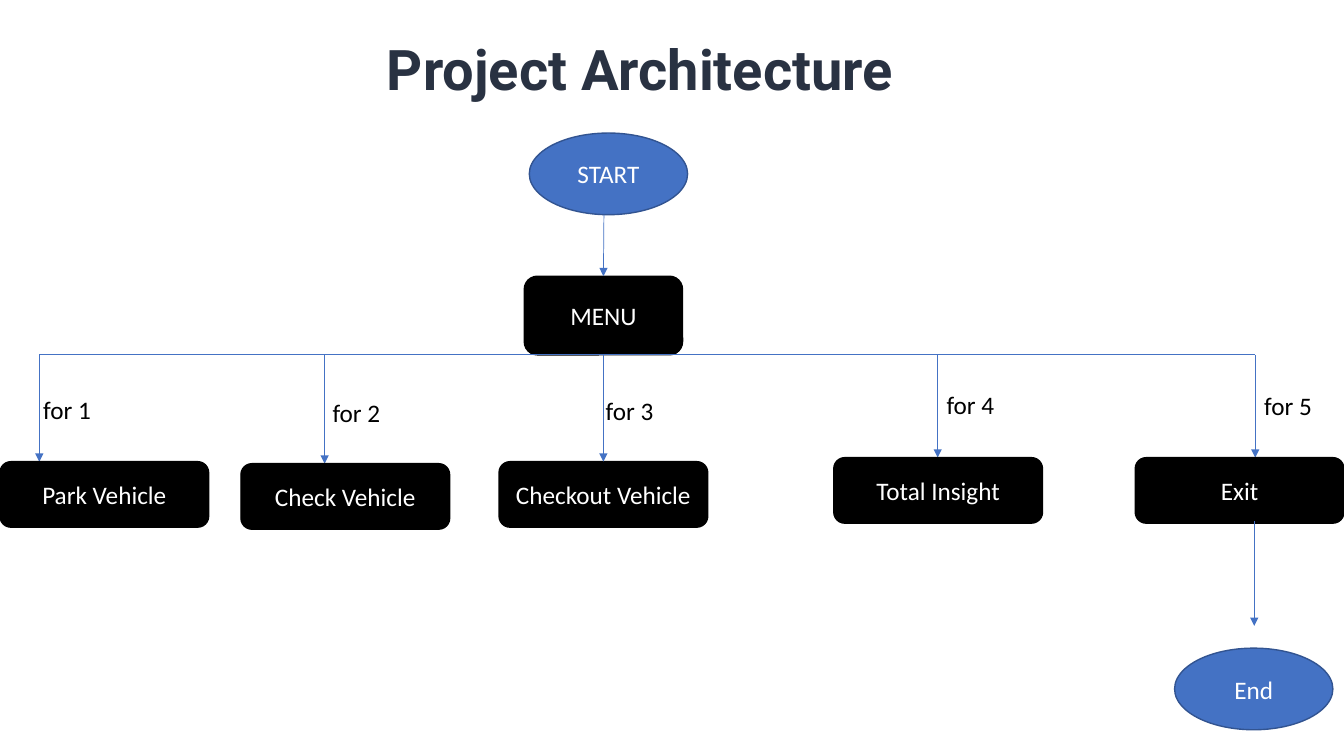
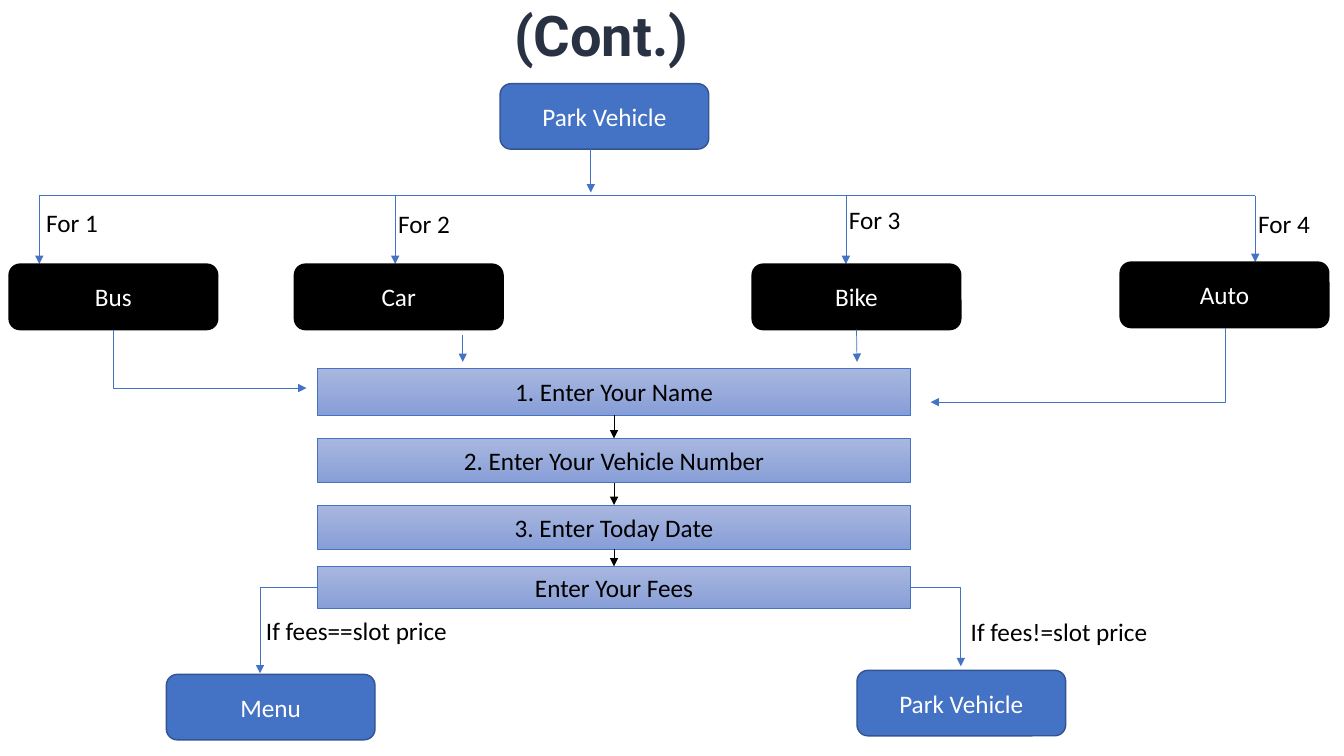
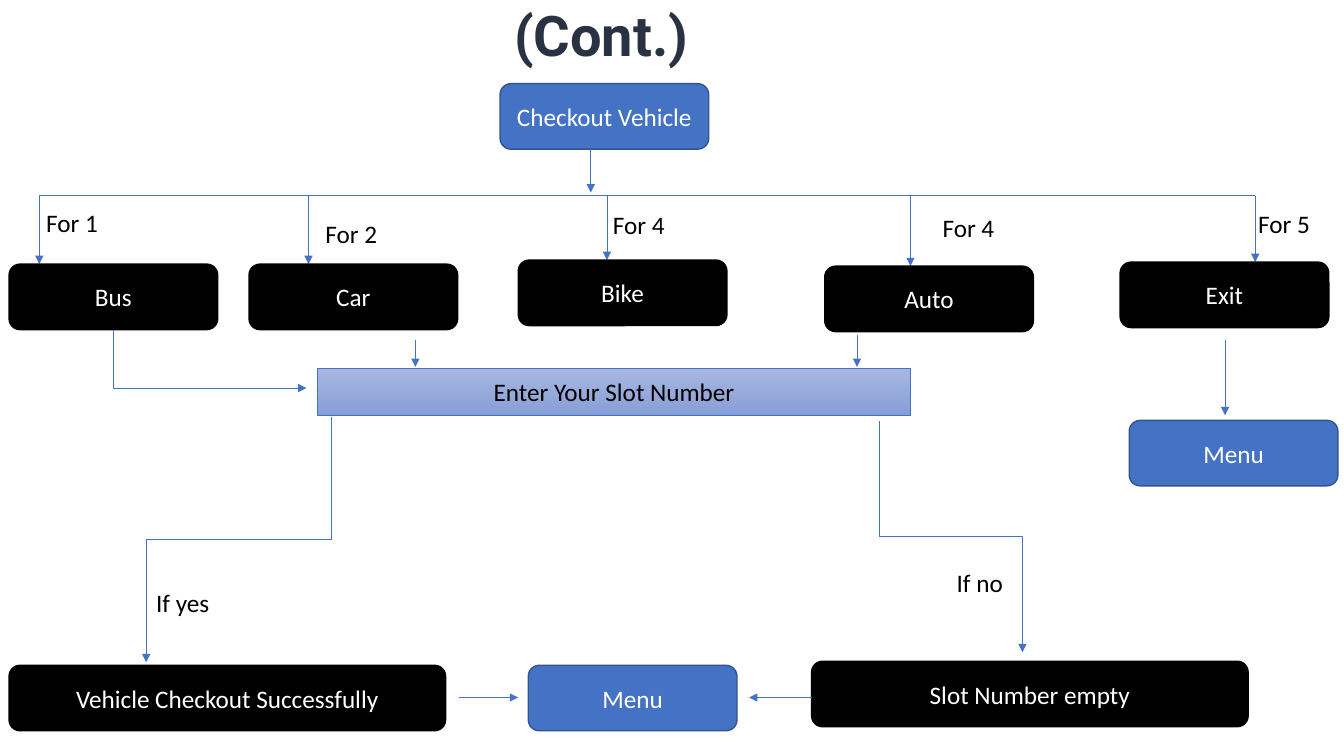
"""Build three flowchart slides for a vehicle parking project."""
from lxml import etree
from pptx import Presentation
from pptx.dml.color import RGBColor
from pptx.enum.shapes import MSO_CONNECTOR as CONN, MSO_SHAPE as SHAPE
from pptx.enum.text import MSO_ANCHOR as ANCHOR, PP_ALIGN as ALIGN
from pptx.oxml.ns import qn
from pptx.util import Inches, Pt

COLORS = {
    "title": "293242",
    "blue": "4472C4",
    "blue_edge": "325491",
    "black": "000000",
    "white": "FFFFFF",
    "step_top": "A8B7DF",
    "step_bottom": "889ED7",
}
BOX_W, BOX_H = 2.07, 0.65
WIDE_W = 4.33
OVAL_W, OVAL_H = 1.57, 0.81
STEP_X, STEP_W = 3.15, 5.88
BAR_LEFT, BAR_RIGHT = 0.39, 12.45
CONT_BAR_Y = 1.94


def rgb(name):
    return RGBColor.from_string(COLORS[name])


class Deck:
    def __init__(self):
        self.prs = Presentation()
        self.prs.slide_width = Inches(13.33)
        self.prs.slide_height = Inches(7.5)
        self.s = None

    def slide(self):
        self.s = self.prs.slides.add_slide(self.prs.slide_layouts[6])

    def put_text(self, tf, text, color, size=18, font="Calibri", bold=False):
        tf.word_wrap = True
        p = tf.paragraphs[0]
        p.text = text
        p.font.name = font
        p.font.size = Pt(size)
        p.font.bold = bold
        p.font.color.rgb = rgb(color)
        return p

    def textbox(self, x, y, w, h):
        sp = self.s.shapes.add_textbox(Inches(x), Inches(y), Inches(w), Inches(h))
        return sp.text_frame

    def title(self, text, x, y, w, h):
        tf = self.textbox(x, y, w, h)
        tf.margin_top = tf.margin_bottom = Inches(0.1)
        p = self.put_text(tf, text, "title", 40, "Roboto", True)
        p.line_spacing = 0.9

    def label(self, text, x, y, w=1):
        self.put_text(self.textbox(x, y, w, 0.4), text, "black")

    def shape(self, kind, text, x, y, w, h, color, edge, edge_w):
        sp = self.s.shapes.add_shape(kind, Inches(x), Inches(y), Inches(w), Inches(h))
        sp.shadow.inherit = False
        sp.line.color.rgb = rgb(edge)
        sp.line.width = Pt(edge_w)
        tf = sp.text_frame
        tf.vertical_anchor = ANCHOR.MIDDLE
        self.put_text(tf, text, color).alignment = ALIGN.CENTER
        return sp

    def node(self, text, x, y, w=BOX_W, h=BOX_H, fill="black", edge="black",
             kind=SHAPE.ROUNDED_RECTANGLE):
        sp = self.shape(kind, text, x, y, w, h, "white", edge, 1)
        sp.fill.solid()
        sp.fill.fore_color.rgb = rgb(fill)
        return sp

    def link_node(self, text, x, y):
        return self.node(text, x, y, fill="blue", edge="blue_edge")

    def oval(self, text, x, y):
        return self.node(text, x, y, OVAL_W, OVAL_H, "blue", "blue_edge", SHAPE.OVAL)

    def step(self, text, y, h=0.44):
        sp = self.shape(SHAPE.RECTANGLE, text, STEP_X, y, STEP_W, h, "black", "blue", 0.5)
        sp.fill.gradient()
        sp.fill.gradient_angle = 270
        for stop, name in zip(sp.fill.gradient_stops, ("step_top", "step_bottom")):
            stop.color.rgb = rgb(name)
        return sp

    def connector(self, kind, x1, y1, x2, y2, color="blue", head=True):
        c = self.s.shapes.add_connector(kind, Inches(x1), Inches(y1), Inches(x2), Inches(y2))
        c.line.color.rgb = rgb(color)
        c.line.width = Pt(0.5)
        if head:
            etree.SubElement(c.get_or_add_ln(), qn("a:tailEnd"), type="triangle")
        etree.SubElement(c._element.spPr, qn("a:effectLst"))
        return c

    def line(self, x1, y1, x2, y2):
        return self.connector(CONN.STRAIGHT, x1, y1, x2, y2, head=False)

    def arrow(self, x1, y1, x2, y2, color="blue", begin=None, end=None):
        c = self.connector(CONN.STRAIGHT, x1, y1, x2, y2, color)
        if begin is not None:
            c.begin_connect(begin, 2)
        if end is not None:
            c.end_connect(end, 0)
        return c

    def elbow(self, x1, y1, x2, y2, bends=1, down_first=True):
        if down_first:
            left = x2 < x1
            cx, cy = (x1 + x2) / 2, (y1 + y2) / 2
            half_w = (y2 - y1) / 2 * (1 if left else -1)
            half_h = abs(x2 - x1) / 2
            c = self.connector(CONN.ELBOW, cx - half_w, cy - half_h, cx + half_w, cy + half_h)
            c._element.spPr.find(qn("a:xfrm")).set("rot", "5400000" if left else "16200000")
        else:
            c = self.connector(CONN.ELBOW, x1, y1, x2, y2)
        c._element.spPr.find(qn("a:prstGeom")).set("prst", f"bentConnector{bends + 1}")

    def branch(self, bar_y, x, text, box_x, box_y, label, label_x, label_y):
        self.arrow(x, bar_y, x, box_y)
        self.label(label, label_x, label_y)
        return self.node(text, box_x, box_y)

    def cont(self, topic, branches):
        self.slide()
        self.title("(Cont.)", 5, -0.02, 2.57, 0.7)
        self.link_node(topic, 4.96, 0.83)
        self.arrow(5.86, 1.48, 5.86, 1.91)
        self.line(BAR_LEFT, CONT_BAR_Y, BAR_RIGHT, CONT_BAR_Y)
        boxes = [self.branch(CONT_BAR_Y, *b) for b in branches]
        self.elbow(1.12, 3.27, 3.04, 3.85)
        return boxes


def architecture(d):
    d.slide()
    d.title("Project Architecture", 3.74, 0.32, 5.34, 1)
    d.oval("START", 5.25, 1.32)
    menu = d.node("MENU", 5.2, 2.74, OVAL_W, 0.78)
    d.arrow(5.99, 2.13, 5.99, 2.74, end=menu)
    bar_y = 3.52
    d.line(BAR_LEFT, bar_y, BAR_RIGHT, bar_y)
    for b in (
        (BAR_LEFT, "Park Vehicle", 0, 4.58, "for 1", 0.33, 3.86),
        (3.22, "Check Vehicle", 2.39, 4.6, "for 2", 3.2, 3.89),
        (9.3, "Total Insight", 8.27, 4.54, "for 4", 9.29, 3.81),
        (BAR_RIGHT, "Exit", 11.26, 4.54, "for 5", 12.44, 3.82),
    ):
        d.branch(bar_y, *b)
    checkout_box = d.node("Checkout Vehicle", 4.95, 4.58)
    d.arrow(5.99, bar_y, 5.99, 4.58, begin=menu, end=checkout_box)
    d.label("for 3", 5.91, 3.87)
    d.arrow(12.44, 5.17, 12.44, 6.21)
    d.oval("End", 11.65, 6.43)


def park(d):
    bike = d.cont("Park Vehicle", (
        (BAR_LEFT, "Bus", 0.09, 2.62, "For 1", 0.36, 2.01),
        (3.92, "Car", 2.92, 2.62, "For 2", 3.85, 2.02),
        (8.39, "Bike", 7.46, 2.62, "For 3", 8.32, 1.98),
        (BAR_RIGHT, "Auto", 11.11, 2.6, "For 4", 12.38, 2.02),
    ))[2]
    d.arrow(4.59, 3.32, 4.59, 3.59)
    d.arrow(8.5, 3.27, 8.5, 3.59, begin=bike)
    d.elbow(12.15, 3.25, 9.23, 3.99)
    steps = [d.step(*row) for row in (
        ("1. Enter Your Name", 3.65, 0.47),
        ("2. Enter Your Vehicle Number", 4.35),
        ("3. Enter Today Date", 5.01),
        ("Enter Your Fees", 5.62, 0.42),
    )]
    for above, below in zip(steps, steps[1:]):
        d.arrow(6.09, 4.12, 6.09, 4.35, "black", above, below)
    d.elbow(STEP_X + STEP_W, 5.83, 9.53, 6.61, down_first=False)
    d.elbow(STEP_X, 5.83, 2.58, 6.68, down_first=False)
    d.link_node("Menu", 1.65, 6.69)
    d.link_node("Park Vehicle", 8.5, 6.65)
    d.label("If fees==slot price", 2.54, 6.06, BOX_W)
    d.label("If fees!=slot price", 9.53, 6.07, BOX_W)


def checkout(d):
    d.cont("Checkout Vehicle", (
        (BAR_LEFT, "Bus", 0.09, 2.62, "For 1", 0.36, 2.01),
        (3.06, "Car", 2.47, 2.62, "For 2", 3.13, 2.12),
        (6.02, "Bike", 5.14, 2.58, "For 4", 5.98, 2.03),
        (9.03, "Auto", 8.18, 2.64, "For 4", 9.25, 2.06),
        (BAR_RIGHT, "Exit", 11.11, 2.6, "For 5", 12.38, 2.02),
    ))
    d.step("Enter Your Slot Number", 3.65, 0.47)
    d.arrow(4.12, 3.37, 4.12, 3.64)
    d.arrow(8.5, 3.32, 8.5, 3.64)
    d.arrow(12.15, 3.37, 12.15, 4.12)
    d.link_node("Menu", 11.2, 4.17)
    d.elbow(3.29, 4.14, 1.45, 6.57, bends=2)
    d.elbow(8.72, 4.18, 10.14, 6.47, bends=2)
    d.label("If yes", 1.45, 5.78, 0.83)
    d.label("If no", 9.39, 5.58, 0.83)
    d.node("Vehicle Checkout Successfully", 0.09, 6.6, WIDE_W)
    d.link_node("Menu", 5.24, 6.6)
    d.node("Slot Number empty", 8.05, 6.56, WIDE_W)
    d.arrow(4.55, 6.92, 5.14, 6.92)
    d.arrow(8.05, 6.92, 7.43, 6.92)


def main():
    d = Deck()
    architecture(d)
    park(d)
    checkout(d)
    d.prs.save("out.pptx")


if __name__ == "__main__":
    main()
